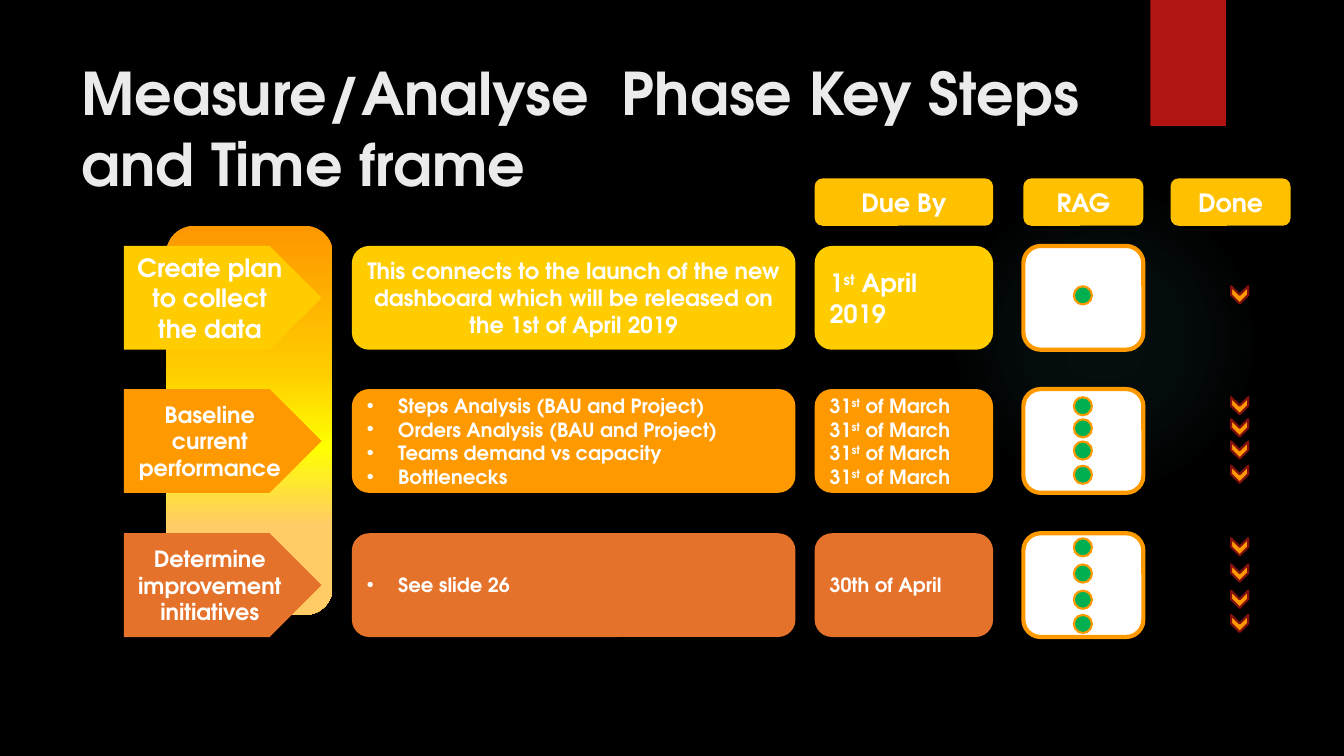
from dataclasses import dataclass

from lxml import etree
from pptx import Presentation
from pptx.dml.color import RGBColor
from pptx.enum.shapes import MSO_SHAPE
from pptx.enum.text import MSO_ANCHOR, MSO_AUTO_SIZE, PP_ALIGN
from pptx.oxml.ns import qn
from pptx.util import Pt

RECT = MSO_SHAPE.RECTANGLE
ROUND = MSO_SHAPE.ROUNDED_RECTANGLE
OVAL = MSO_SHAPE.OVAL
PLATE = MSO_SHAPE.PENTAGON
DOT = MSO_SHAPE.FLOWCHART_CONNECTOR
TICK = MSO_SHAPE.CHEVRON
MIDDLE = MSO_ANCHOR.MIDDLE
NO_FIT = MSO_AUTO_SIZE.NONE
LEFT = PP_ALIGN.LEFT
CENTER = PP_ALIGN.CENTER
PX = 9144


@dataclass(frozen=True)
class Theme:
    font: str = "TeX Gyre Adventor"
    back: str = "000000"
    title: str = "EBEBEB"
    text: str = "FFFFFF"
    tab: str = "B01513"
    head: str = "FFC000"
    gold: str = "FFCC00"
    amber: str = "FF9900"
    rust: str = "E5722B"
    green: str = "00B050"
    edge: str = "82100E"
    glow: tuple = ((0, "50B9C1", 7), (36, "50B9C1", 6), (69, "50B9C1", 0))
    blend: tuple = ((0, "FE9700", 100), (37, "FFCC00", 100),
                    (57, "FFFF00", 100), (77, "FFCC66", 100))
    huge: int = 42
    large: int = 18
    mid: int = 16
    small: int = 14


THEME = Theme()

HEADS = [("Due By", 808, 177), ("RAG", 1015, 119), ("Done", 1161, 119)]

ROWS = [
    dict(top=244, fill=THEME.gold,
         step="Create plan to collect the data", size=THEME.large,
         notes=["This connects to the launch of the new dashboard which "
                "will be released on the 1st of April 2019"],
         form=dict(size=THEME.mid, align=CENTER),
         due=["1^st^ April 2019"], span=THEME.large, marks=[284]),
    dict(top=386, fill=THEME.amber,
         step="Baseline current performance", size=THEME.mid,
         notes=["Steps Analysis (BAU and Project)",
                "Orders Analysis (BAU and Project)",
                "Teams demand vs capacity", "Bottlenecks"],
         form=dict(size=THEME.small, bullet=True),
         due=["31^st^ of March"] * 4, span=THEME.small,
         marks=[394, 416, 438, 462]),
    dict(top=529, fill=THEME.rust,
         step="Determine improvement initiatives", size=THEME.mid,
         notes=["See slide 26"],
         form=dict(size=THEME.small, bullet=True),
         due=["30th of April"], span=THEME.small,
         marks=[534, 560, 586, 610]),
]


def apply(item, values):
    for key, value in values.items():
        setattr(item, key, value)


def place(item, box):
    names = ("left", "top", "width", "height")
    apply(item, dict(zip(names, (n * PX for n in box))))


def paint(fill, color):
    fill.solid()
    fill.fore_color.rgb = RGBColor.from_string(color)


def add_shape(slide, kind, box, fill=None, line=None, width=0):
    shape = slide.shapes.add_shape(kind, *(n * PX for n in box))
    shape.shadow.inherit = False
    if fill:
        paint(shape.fill, fill)
    if line:
        paint(shape.line.fill, line)
        shape.line.width = Pt(width)
    else:
        shape.line.fill.background()
    return shape


def blend(shape, stops, round_path=False):
    grad = etree.Element(qn("a:gradFill"), rotWithShape="1")
    group = etree.SubElement(grad, qn("a:gsLst"))
    for spot, color, alpha in stops:
        stop = etree.SubElement(group, qn("a:gs"), pos=str(spot * 1000))
        tint = etree.SubElement(stop, qn("a:srgbClr"), val=color)
        if alpha < 100:
            etree.SubElement(tint, qn("a:alpha"), val=str(alpha * 1000))
    if round_path:
        way = etree.SubElement(grad, qn("a:path"), path="circle")
        sides = dict.fromkeys("ltrb", "50000")
        etree.SubElement(way, qn("a:fillToRect"), **sides)
    else:
        etree.SubElement(grad, qn("a:lin"), ang="5400000", scaled="0")
    shape.element.spPr.find(qn("a:prstGeom")).addnext(grad)


def add_bullet(para):
    props = para._p.get_or_add_pPr()
    inset = 31 * PX
    props.set("marL", str(inset))
    props.set("indent", str(-inset))
    etree.SubElement(props, qn("a:buFont"), typeface="Arial")
    etree.SubElement(props, qn("a:buChar"), char="•")


def write(shape, lines, size, align=LEFT, bullet=False, color=THEME.text):
    frame = shape.text_frame
    apply(frame, dict(word_wrap=True, auto_size=NO_FIT,
                      vertical_anchor=MIDDLE))
    form = dict(name=THEME.font, size=Pt(size), bold=True)
    for index, line in enumerate(lines):
        para = frame.add_paragraph() if index else frame.paragraphs[0]
        para.alignment = align
        if bullet:
            add_bullet(para)
        for turn, part in enumerate(line.split("^")):
            run = para.add_run()
            run.text = part
            apply(run.font, form)
            run.font.color.rgb = RGBColor.from_string(color)
            if turn % 2:
                run._r.get_or_add_rPr().set("baseline", "30000")


def add_head(slide, label, left, width):
    shape = add_shape(slide, ROUND, (left, 177, width, 47), THEME.head)
    write(shape, [label], THEME.large, CENTER)


def add_row(slide, row):
    top, fill = row["top"], row["fill"]
    step = add_shape(slide, PLATE, (123, top, 196, 103), fill)
    write(step, [row["step"]], row["size"], CENTER)
    notes = add_shape(slide, ROUND, (349, top, 440, 103), fill)
    write(notes, row["notes"], **row["form"])
    due = add_shape(slide, ROUND, (808, top, 177, 103), fill)
    write(due, row["due"], row["span"])
    add_shape(slide, ROUND, (1015, top, 119, 103), THEME.text, THEME.amber, 3)
    for mark in row["marks"]:
        add_shape(slide, DOT, (1065, mark, 18, 18),
                  THEME.green, THEME.amber, 1.5)
        tick = add_shape(slide, TICK, (1221, mark, 17, 17),
                         THEME.amber, THEME.edge, 1.5)
        tick.rotation = 90


def main():
    deck = Presentation()
    apply(deck, dict(slide_width=1333 * PX, slide_height=750 * PX))
    slide = deck.slides.add_slide(deck.slide_layouts[5])
    paint(slide.background.fill, THEME.back)

    blend(add_shape(slide, OVAL, (941, 183, 308, 308)), THEME.glow, True)
    add_shape(slide, RECT, (1141, 0, 75, 125), THEME.tab)
    title = slide.shapes.title
    place(title, (71, 50, 1029, 153))
    write(title, ["Measure/Analyse  Phase Key Steps and Time frame"],
          THEME.huge, color=THEME.title)
    blend(add_shape(slide, ROUND, (165, 224, 165, 386)), THEME.blend)
    for row in ROWS:
        add_row(slide, row)
    for head in HEADS:
        add_head(slide, *head)
    deck.save("out.pptx")


if __name__ == "__main__":
    main()
